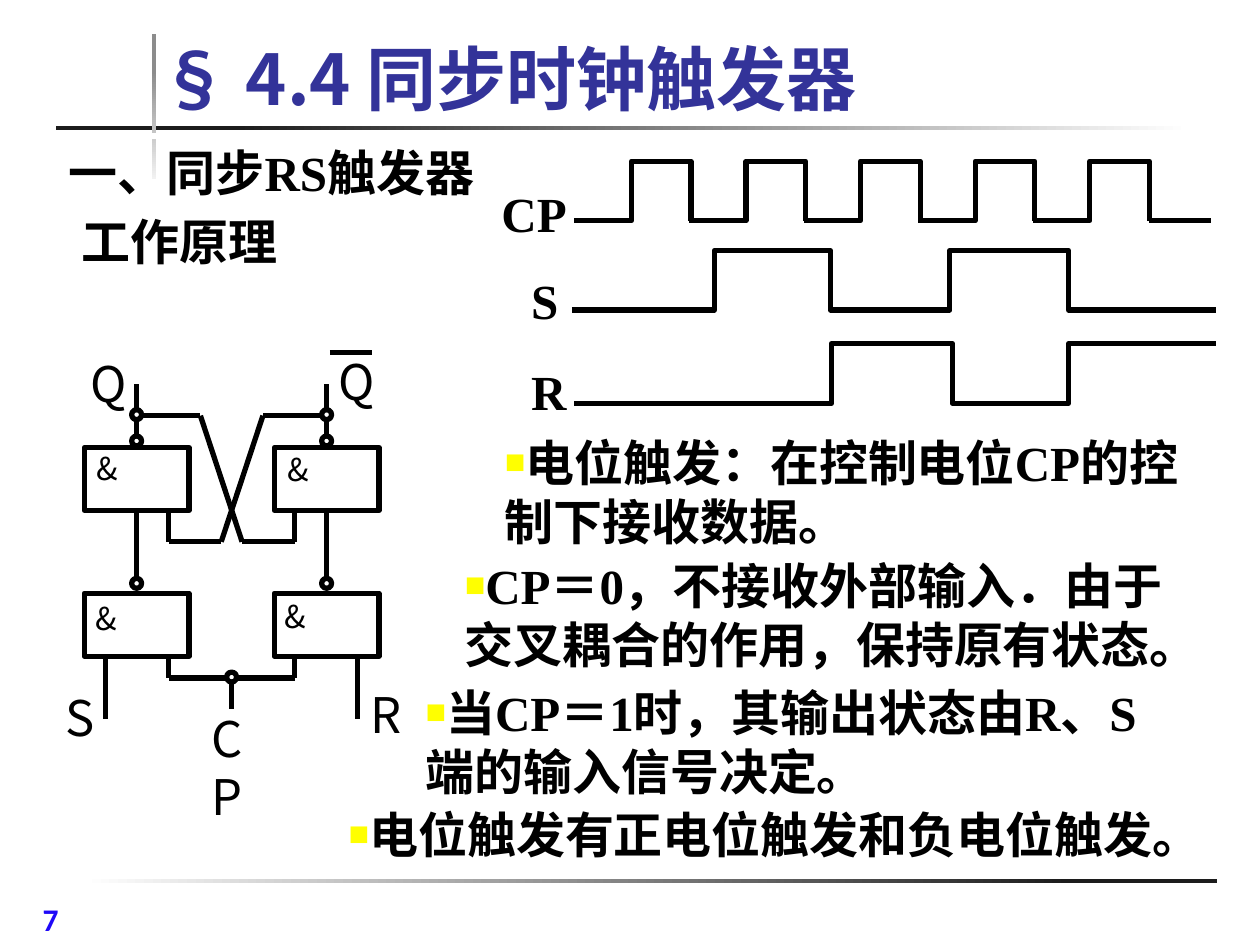
from lxml.etree import SubElement
from pptx import Presentation
from pptx.dml.color import RGBColor
from pptx.enum.shapes import MSO_CONNECTOR, MSO_SHAPE
from pptx.enum.text import MSO_ANCHOR, MSO_AUTO_SIZE, PP_ALIGN
from pptx.oxml.ns import qn
from pptx.util import Cm, Pt

BLACK = RGBColor(0, 0, 0)
WHITE = RGBColor(255, 255, 255)
TITLE_BLUE = RGBColor(0x33, 0x33, 0x99)
NUMBER_BLUE = RGBColor(0x1F, 0x08, 0xF8)
INK = RGBColor(0x1C, 0x1C, 0x1C)
MIST = RGBColor(0xF2, 0xF2, 0xF2)
GREY = RGBColor(0x8C, 0x8C, 0x8C)
SANS, SERIF = "Noto Sans CJK SC", "Times New Roman"

# All positions and sizes are in centimetres.
TITLE = "§ 4.4 同步时钟触发器"
# left, top, width, height, angle, gradient stops
RULES = [
    (1.68, 17.73, 22.86, 0.08, 0, [(0, WHITE), (0.87, INK)]),
    (1.12, 2.54, 22.86, 0.08, 0, [(0.16, INK), (1, WHITE)]),
    (3.07, 0.69, 0.08, 2.92, 90, [(0, MIST), (0.74, GREY)]),
]
# left, top, width, height, font, text
POINTS = [
    (9.93, 8.59, 14.71, 2.62, SERIF, "电位触发：在控制电位CP的控制下接收数据。"),
    (9.12, 11.07, 15.44, 2.62, SERIF,
     "CP＝0，不接收外部输入．由于交叉耦合的作用，保持原有状态。"),
    (8.33, 13.64, 15.14, 2.64, SERIF,
     "当CP＝1时，其输出状态由R、S 端的输入信号决定。"),
    (6.78, 16.1, 18.62, 1.45, SANS, "电位触发有正电位触发和负电位触发。"),
]
# text, left, top, width, size
PIN_LABELS = [
    ("Q", 1.57, 7.01, 1.7, 28), ("Q", 6.58, 6.96, 1.02, 28),
    ("S", 1.07, 13.74, 1.02, 28), ("R", 7.21, 13.67, 1.12, 28),
    ("CP", 4.01, 14.15, 1.52, 28),
    ("&", 1.7, 8.92, 1.02, 18), ("&", 5.54, 8.94, 1.02, 18),
    ("&", 1.68, 11.96, 1.02, 18), ("&", 5.49, 11.91, 1.02, 18),
]
WAVE_LABELS = [("CP", 9.86, 3.58, 1.88), ("S", 10.46, 5.33, 1.68),
               ("R", 10.46, 7.16, 1.68)]

# Left half of the circuit; the right half mirrors it about AXIS.
AXIS = 4.67
GATE_LEFT, GATE_WIDTH, GATE_HEIGHT = 1.7, 2.11, 1.27
GATE_TOPS = (9.02, 11.96)
STEM = GATE_LEFT + GATE_WIDTH / 2
BUBBLE, BUBBLE_ROWS = 0.2, (8.36, 8.89, 11.76)
HALF_WIRES = [
    (STEM, 7.75, STEM, 8.79), (STEM, 8.38, 4.04, 8.38),
    (4.04, 8.38, 4.88, 10.92), (4.88, 10.92, 5.94, 10.92),
    (5.94, 10.29, 5.94, 10.92), (3.4, 13.23, 3.4, 13.67),
    (2.13, 13.23, 2.13, 14.5),
]
SHARED_WIRES = [(3.4, 13.67, 5.94, 13.67), (AXIS, 13.67, AXIS, 14.3),
                (6.65, 7.11, 7.49, 7.11)]

# Waveforms: low and high level, then the x of each edge from start to end
PULSE_COUNT, PULSE_START, PULSE_PITCH = 5, 11.58, 2.31
PULSE_EDGES = (0, 1.15, 2.35)
CLOCK_LOW, CLOCK_HIGH = 4.45, 3.25
SIGNALS = [
    (6.25, 5.05, [11.53, 14.4, 16.74, 19.15, 21.54, 24.51]),
    (8.13, 6.93, [11.58, 16.76, 19.2, 21.54, 24.51]),
]

deck = Presentation()
deck.slide_width, deck.slide_height = Cm(25.4), Cm(19.05)
page = deck.slides.add_slide(deck.slide_layouts[5])
shapes = page.shapes


def style(para, size, font, color=BLACK, bold=False):
    for span in para.runs:
        span.font.size, span.font.bold = Pt(size), bold
        span.font.name, span.font.color.rgb = font, color
        SubElement(span.font._element, qn("a:ea"), typeface=SANS)


def add_text(text, left, top, width, height, size=28, font=SANS,
             color=BLACK, bold=False, framed=False):
    box = shapes.add_textbox(Cm(left), Cm(top), Cm(width), Cm(height))
    box.text_frame.word_wrap = True
    box.text_frame.text = text
    style(box.text_frame.paragraphs[0], size, font, color, bold)
    if framed:
        box.line.color.rgb, box.line.width = WHITE, Pt(3)
    return box


def add_bullet(para):
    props = para._p.get_or_add_pPr()
    props.set("marL", "0")
    props.set("indent", "0")
    color = SubElement(props, qn("a:buClr"))
    SubElement(color, qn("a:srgbClr"), val="FFFF00")
    SubElement(props, qn("a:buSzPct"), val="70000")
    SubElement(props, qn("a:buFont"), typeface=SERIF)
    SubElement(props, qn("a:buChar"), char="■")


def ink(shape):
    shape.line.color.rgb, shape.line.width = BLACK, Pt(3)


def add_wire(x1, y1, x2, y2):
    wire = shapes.add_connector(MSO_CONNECTOR.STRAIGHT,
                                Cm(x1), Cm(y1), Cm(x2), Cm(y2))
    ink(wire)
    SubElement(wire._element.spPr, qn("a:effectLst"))
    return wire


def add_outline(kind, left, top, width, height, filled=False):
    shape = shapes.add_shape(kind, Cm(left), Cm(top), Cm(width), Cm(height))
    shape.shadow.inherit = False
    if filled:
        shape.fill.solid()
        shape.fill.fore_color.rgb = WHITE
    else:
        shape.fill.background()
    ink(shape)
    return shape


def add_bubble(x, y):
    add_outline(MSO_SHAPE.OVAL, x - BUBBLE / 2, y - BUBBLE / 2,
                BUBBLE, BUBBLE, True)


def add_wave(low, high, edges):
    """Draw a square wave that starts low and flips at each inner edge."""
    points, level, other = [(edges[0], low)], low, high
    for x in edges[1:-1]:
        points += [(x, level), (x, other)]
        level, other = other, level
    points.append((edges[-1], level))
    if len(edges) == 3:
        points.append((edges[-1], other))
    points = [(Cm(x), Cm(y)) for x, y in points]
    builder = shapes.build_freeform(*points[0])
    builder.add_line_segments(points[1:], close=False)
    wave = builder.convert_to_shape()
    wave.shadow.inherit = False
    wave.fill.background()
    ink(wave)


for left, top, width, height, angle, stops in RULES:
    rule = shapes.add_shape(MSO_SHAPE.RECTANGLE,
                            Cm(left), Cm(top), Cm(width), Cm(height))
    rule.shadow.inherit = False
    rule.line.fill.background()
    rule.fill.gradient()
    rule.fill.gradient_angle = angle
    for stop, (position, color) in zip(rule.fill.gradient_stops, stops):
        stop.position, stop.color.rgb = position, color

title = shapes.title
title.left, title.top, title.width, title.height = (
    Cm(2.97), Cm(0.91), Cm(22.43), Cm(1.63))
title.text_frame.text = TITLE
title.text_frame.auto_size = MSO_AUTO_SIZE.NONE
title.text_frame.vertical_anchor = MSO_ANCHOR.BOTTOM
title.text_frame.paragraphs[0].alignment = PP_ALIGN.LEFT
style(title.text_frame.paragraphs[0], 40, SANS, TITLE_BLUE, True)

add_text("7", 0.61, 18.01, 2.51, 0.94, 18, "Calibri", NUMBER_BLUE, True)
heading = add_text("一、", 1.14, 2.74, 9.19, 1.45, bold=True, framed=True)
heading_para = heading.text_frame.paragraphs[0]
heading_para.add_run().text = "同步RS触发器"
style(heading_para, 28, SERIF, bold=True)
heading_para.runs[0].font.name = SANS
add_text("工作原理", 1.4, 4.14, 6.43, 1.45, font="Roboto", bold=True)
for left, top, width, height, font, text in POINTS:
    point = add_text(text, left, top, width, height, 28, font,
                     bold=True, framed=True)
    add_bullet(point.text_frame.paragraphs[0])

for gate_left in (GATE_LEFT, 2 * AXIS - GATE_LEFT - GATE_WIDTH):
    upper, lower = [add_outline(MSO_SHAPE.RECTANGLE, gate_left, top,
                                GATE_WIDTH, GATE_HEIGHT) for top in GATE_TOPS]
    middle = gate_left + GATE_WIDTH / 2
    link = add_wire(middle, GATE_TOPS[0] + GATE_HEIGHT, middle, 11.64)
    link.begin_connect(upper, 2)
for x1, y1, x2, y2 in HALF_WIRES:
    add_wire(x1, y1, x2, y2)
    add_wire(2 * AXIS - x1, y1, 2 * AXIS - x2, y2)
for wire_ends in SHARED_WIRES:
    add_wire(*wire_ends)
for row in BUBBLE_ROWS:
    for x in (STEM, 2 * AXIS - STEM):
        add_bubble(x, row)
add_bubble(AXIS, 13.65)
for text, left, top, width, size in PIN_LABELS:
    add_text(text, left, top, width, 1.45 if size == 28 else 1.02, size)

for i in range(PULSE_COUNT):
    start = PULSE_START + i * PULSE_PITCH
    add_wave(CLOCK_LOW, CLOCK_HIGH, [start + edge for edge in PULSE_EDGES])
add_wire(23.17, CLOCK_LOW, 24.41, CLOCK_LOW)
for low, high, edges in SIGNALS:
    add_wave(low, high, edges)
for text, left, top, width in WAVE_LABELS:
    add_text(text, left, top, width, 1.45, font=SERIF, bold=True)

deck.save("out.pptx")
